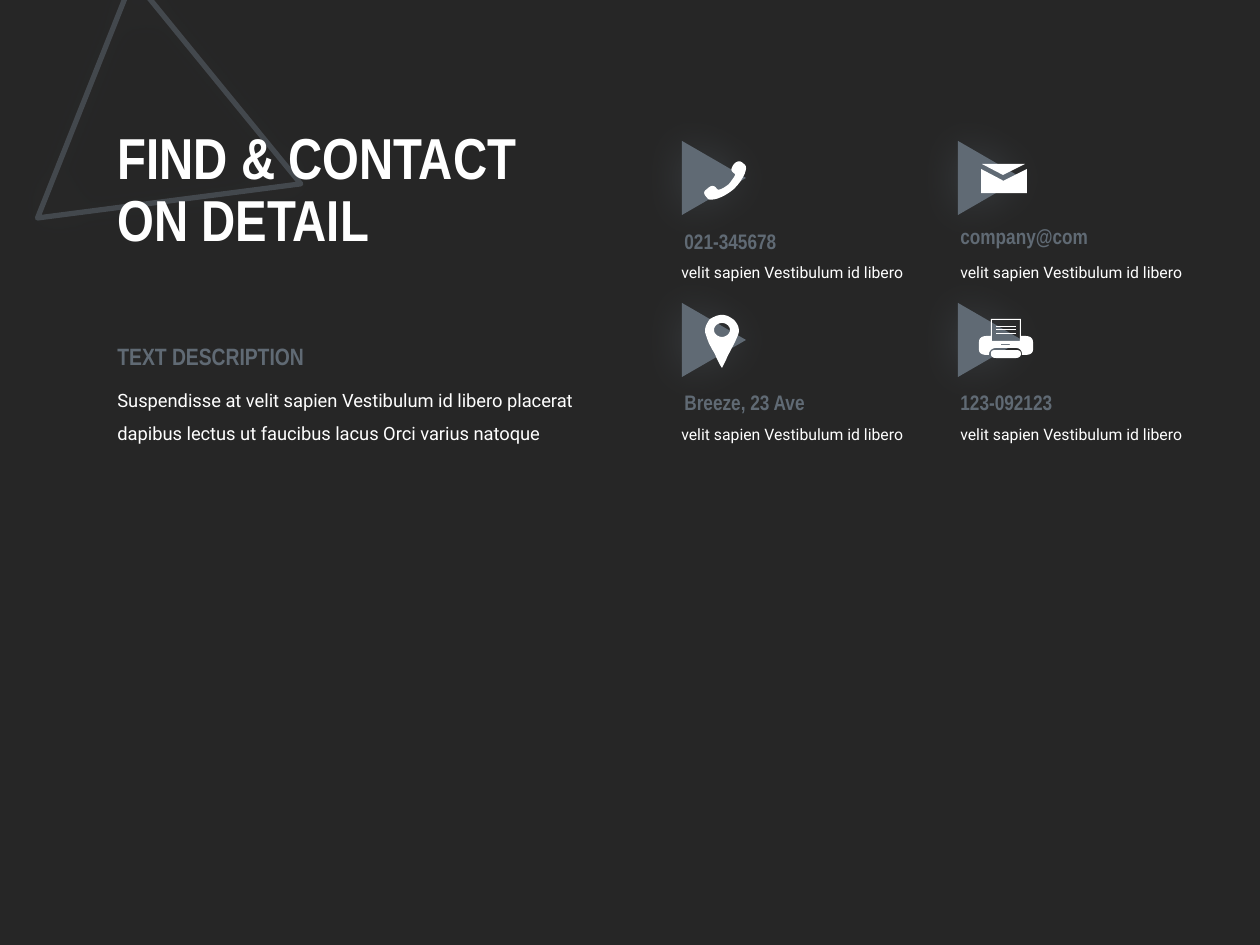
from lxml import etree
from pptx import Presentation
from pptx.dml.color import RGBColor
from pptx.enum.shapes import MSO_SHAPE
from pptx.enum.text import MSO_ANCHOR, MSO_AUTO_SIZE, PP_ALIGN
from pptx.oxml.ns import qn
from pptx.util import Pt

TRIANGLE = MSO_SHAPE.ISOSCELES_TRIANGLE
TOP, MIDDLE = MSO_ANCHOR.TOP, MSO_ANCHOR.MIDDLE
NO_FIT, LEFT = MSO_AUTO_SIZE.NONE, PP_ALIGN.LEFT
PX = 914400 / 126
FINE = 100
STEPS = 8
COLORS = {"dark": "262626", "slate": "606A74", "white": "FFFFFF"}
STYLES = {
    "title": {"name": "Arial Narrow", "size": Pt(33), "bold": True, "color": "white"},
    "heading": {"name": "Arial Narrow", "size": Pt(13.5), "bold": True, "color": "slate"},
    "label": {"name": "Arial Narrow", "size": Pt(12), "bold": True, "color": "slate"},
    "body": {"name": "Roboto", "size": Pt(10.5), "bold": False, "color": "white"},
    "note": {"name": "Roboto", "size": Pt(9), "bold": False, "color": "white"},
}
NOTE = "velit sapien Vestibulum id libero"


def bar(left, top, right, bottom):
    """Return a rectangular contour."""
    return [(left, top), (right, top), (right, bottom), (left, bottom)]


PHONE = [[[
    (53, 33), (49, 30, 48, 29, 52, 23), (57, 18, 60, 21, 63, 24),
    (66, 26, 63, 37, 52, 48), (40, 58, 29, 60, 26, 58), (24, 55, 19, 52, 25, 48),
    (30, 43, 33, 45, 35, 48), (37, 50, 42, 47, 47, 43), (50, 39, 54, 34, 53, 33),
]]]
MAIL = [[
    [(47, 39), (69, 28), (69, 52), (23, 52), (23, 28), (44, 39), (45, 40)],
    [(67, 23), (45, 34), (24, 23)],
]]
PIN = [[
    [(28, 16), (32, 14, 35, 12, 40, 12), (45, 12, 48, 14, 52, 17),
     (55, 20, 57, 24, 57, 28), (57, 30, 55, 35, 52, 41), (49, 47, 46, 52, 44, 57),
     (40, 65), (38, 62), (34, 54), (33, 50, 30, 47, 29, 44),
     (27, 41, 26, 38, 25, 35), (24, 32, 23, 30, 23, 28), (23, 24, 25, 20, 28, 16)],
    [(32, 27), (32, 23, 36, 20, 40, 20), (44, 20, 48, 23, 48, 27),
     (48, 31, 44, 34, 40, 34), (36, 34, 32, 31, 32, 27)],
]]
PRINTER = [
    [[(58, 47), (38, 47), (34, 47, 33, 48, 33, 51), (33, 53, 34, 55, 38, 55),
      (58, 55), (61, 55, 63, 53, 63, 51), (63, 48, 61, 47, 58, 47)]],
    [[(67, 33), (63, 33), (63, 16), (33, 16), (33, 33), (29, 33),
      (24, 33, 21, 35, 21, 39), (21, 47), (21, 50, 24, 52, 29, 52), (31, 52),
      (31, 51), (31, 48, 34, 45, 38, 45), (58, 45), (62, 45, 64, 48, 64, 51),
      (64, 52), (67, 52), (72, 52, 75, 50, 75, 47), (75, 39),
      (75, 35, 72, 33, 67, 33)],
     bar(34, 17, 62, 38), bar(43, 41, 52, 42)],
] + [[bar(38, y, 58, y + 1)] for y in (23, 26, 30)]
CONTACTS = [
    ("021-345678", 81, -13, PHONE), ("company@com", 76, -10, MAIL),
    ("Breeze, 23 Ave", 80, -13, PIN), ("123-092123", 80, -10, PRINTER),
]


def emu(*lengths):
    """Turn px lengths into EMU."""
    return [round(v * PX) for v in lengths]


def rgb(key):
    """Return a named colour."""
    return RGBColor.from_string(COLORS[key])


def write(sp, text, style, spacing=1.0, anchor=TOP):
    """Fill a text shape with one styled paragraph."""
    tf = sp.text_frame
    for key, value in {"word_wrap": True, "auto_size": NO_FIT, "vertical_anchor": anchor}.items():
        setattr(tf, key, value)
    p = tf.paragraphs[0]
    p.alignment, p.line_spacing = LEFT, spacing
    for i, line in enumerate(text.splitlines()):
        if i:
            p.add_line_break()
        r = p.add_run()
        r.text = line
        for key, value in STYLES[style].items():
            if key == "color":
                r.font.color.rgb = rgb(value)
            else:
                setattr(r.font, key, value)
    for br in p._p.findall(qn("a:br")):
        etree.SubElement(br, qn("a:rPr"), sz=str(STYLES[style]["size"].pt * 100).split(".")[0])


def add_text(s, box, text, style, spacing=1.0):
    """Add a text box."""
    write(s.shapes.add_textbox(*emu(*box)), text, style, spacing)


def add_triangle(s, box, rotation):
    """Add a rotated triangle with a soft glow-like shadow."""
    sp = s.shapes.add_shape(TRIANGLE, *emu(*box))
    sp.rotation = rotation
    sp.shadow.inherit = False
    effects = sp._element.spPr.find(qn("a:effectLst"))
    shadow = etree.SubElement(effects, qn("a:outerShdw"), blurRad=str(Pt(25)),
                              dist="0", dir="0", algn="ctr", rotWithShape="0")
    color = etree.SubElement(shadow, qn("a:srgbClr"), val=COLORS["slate"])
    etree.SubElement(color, qn("a:alpha"), val="35000")
    return sp


def trace(contour):
    """Sample lines and cubic curves into fine points."""
    points = [contour[0]]
    for seg in contour[1:]:
        if len(seg) == 2:
            points.append(seg)
            continue
        x0, y0 = points[-1]
        x1, y1, x2, y2, x3, y3 = seg
        for i in range(1, STEPS + 1):
            t = i / STEPS
            a, b, c, d = (1 - t) ** 3, 3 * t * (1 - t) ** 2, 3 * t * t * (1 - t), t ** 3
            points.append((a * x0 + b * x1 + c * x2 + d * x3, a * y0 + b * y1 + c * y2 + d * y3))
    return [(round(x * FINE), round(y * FINE)) for x, y in points]


def add_icon(s, x, y, icon):
    """Draw a white icon, grouped when it has several parts."""
    shapes = s.shapes.add_group_shape().shapes if len(icon) > 1 else s.shapes
    for part in icon:
        first, *others = [trace(contour) for contour in part]
        builder = shapes.build_freeform(*first[0], scale=PX / FINE)
        builder.add_line_segments(first[1:], close=True)
        for points in others:
            builder.move_to(*points[0])
            builder.add_line_segments(points[1:], close=True)
        sp = builder.convert_to_shape(*emu(x, y))
        sp.shadow.inherit = False
        sp.fill.solid()
        sp.fill.fore_color.rgb = rgb("white")
        sp.line.fill.background()


def add_contact(s, x, y, label, label_y, note_x, icon):
    """Place a contact cell with its marker, icon, label and note."""
    sp = add_triangle(s, (x - 5, y + 5, 74, 64), 90)
    sp.fill.solid()
    sp.fill.fore_color.rgb = rgb("slate")
    sp.line.fill.background()
    add_icon(s, x, y, icon)
    add_text(s, (x - 10, y + label_y, 180, 38), label, "label")
    add_text(s, (x + note_x, y + 106, 251, 38), NOTE, "note", 1.5)


def add_intro(s, x, y):
    """Place the outlined triangle, title and description."""
    sp = add_triangle(s, (x - 41, y - 67, 258, 232), 111.7)
    sp.fill.background()
    sp.line.color.rgb = rgb("slate")
    sp.line.width = Pt(3)
    color = sp.line._ln.find(".//" + qn("a:srgbClr"))
    etree.SubElement(color, qn("a:alpha"), val="50000")
    title = s.shapes.title
    title.left, title.top, title.width, title.height = emu(x, y, 532, 199)
    s.shapes._spTree.append(title._element)
    write(title, """FIND & CONTACT
ON DETAIL""", "title", 0.9, MIDDLE)
    add_text(s, (x, y + 280, 485, 76), "Suspendisse at velit sapien Vestibulum id libero placerat "
             "dapibus lectus ut faucibus lacus Orci varius natoque", "body", 1.5)
    add_text(s, (x, y + 244, 232, 42), "TEXT DESCRIPTION", "heading")


def main():
    """Build and save the contact slide."""
    prs = Presentation()
    prs.slide_width, prs.slide_height = emu(1260, 945)
    s = prs.slides.add_slide(prs.slide_layouts[0])
    subtitle = s.placeholders[1]._element
    subtitle.getparent().remove(subtitle)
    s.background.fill.solid()
    s.background.fill.fore_color.rgb = rgb("dark")
    add_intro(s, 105, 92)
    for i, contact in enumerate(CONTACTS):
        row, col = divmod(i, 2)
        add_contact(s, 682 + 276 * col, 141 + 162 * row, *contact)
    prs.save("out.pptx")


if __name__ == "__main__":
    main()
